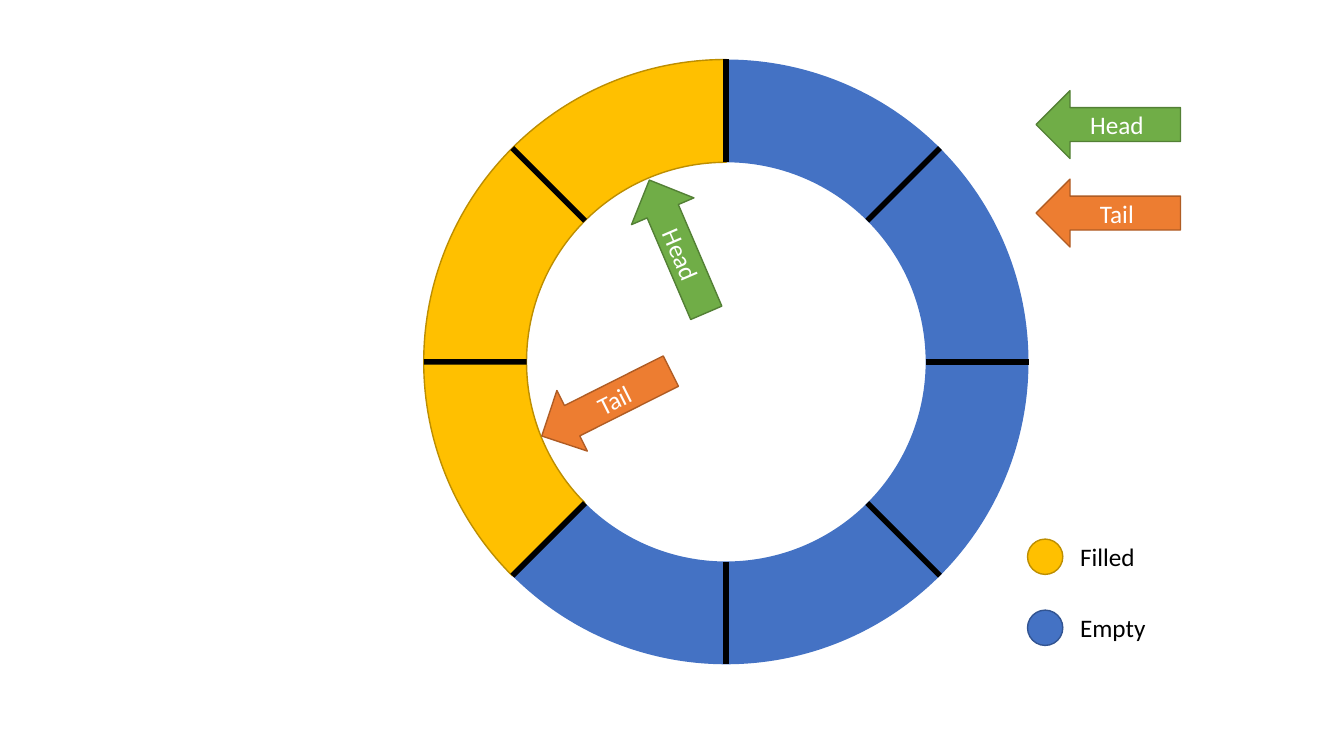
from dataclasses import dataclass
from math import cos, radians, sin

from lxml import etree
from pptx import Presentation
from pptx.dml.color import RGBColor
from pptx.enum.shapes import MSO_CONNECTOR, MSO_SHAPE
from pptx.enum.text import MSO_ANCHOR, PP_ALIGN
from pptx.oxml.ns import qn
from pptx.util import Cm, Pt

DONUT, BLOCK_ARC = MSO_SHAPE.DONUT, MSO_SHAPE.BLOCK_ARC
DOWN_ARROW, OVAL = MSO_SHAPE.DOWN_ARROW, MSO_SHAPE.OVAL
STRAIGHT = MSO_CONNECTOR.STRAIGHT
MIDDLE, CENTER, LEFT = MSO_ANCHOR.MIDDLE, PP_ALIGN.CENTER, PP_ALIGN.LEFT


@dataclass(frozen=True)
class Paint:
    fill: str
    outline: str | None = None


@dataclass(frozen=True)
class Theme:
    font: str = "Calibri"
    size: float = 18
    light: str = "FFFFFF"
    dark: str = "000000"
    ring: Paint = Paint("4472C4")
    empty: Paint = Paint("4472C4", "325491")
    filled: Paint = Paint("FFC000", "BD8E00")
    head: Paint = Paint("70AD47", "538035")
    tail: Paint = Paint("ED7D31", "AF5C24")
    outline_width: float = 1
    divider_width: float = 4


@dataclass(frozen=True)
class Pointer:
    label: str
    paint: Paint
    x: float
    y: float
    rotation: float


@dataclass(frozen=True)
class KeyEntry:
    label: str
    paint: Paint
    y: float


THEME = Theme()

# Ring geometry in centimetres; angles run clockwise from the right
RING_X, RING_Y, RADIUS = 18.3, 9.12, 7.62
THICKNESS = 0.17
SLOTS = 8
FILLED_FROM, FILLED_TO = 135, 270
ANGLE_UNIT = 0.6  # adjustment value per degree

ARROW_WIDTH, ARROW_LENGTH = 1.71, 3.64
DOT_X, DOT_SIZE = 26.34, 0.89
LABEL_LEFT, LABEL_WIDTH, LABEL_HEIGHT = 26.97, 2.2, 1.02

POINTERS = [
    Pointer("Head", THEME.head, 27.93, 3.14, 90),
    Pointer("Tail", THEME.tail, 27.93, 5.37, 90),
    Pointer("Tail", THEME.tail, 15.28, 10.17, 63.3),
    Pointer("Head", THEME.head, 17.08, 6.21, 156.8),
]
KEY = [
    KeyEntry("Filled", THEME.filled, 14.03),
    KeyEntry("Empty", THEME.empty, 15.82),
]


def add_centred_shape(slide, kind, x: float, y: float, width: float,
                      height: float, paint: Paint):
    shape = slide.shapes.add_shape(
        kind, Cm(x - width / 2), Cm(y - height / 2), Cm(width), Cm(height))
    shape.shadow.inherit = False
    shape.fill.solid()
    shape.fill.fore_color.rgb = RGBColor.from_string(paint.fill)
    if paint.outline:
        shape.line.color.rgb = RGBColor.from_string(paint.outline)
        shape.line.width = Pt(THEME.outline_width)
    else:
        shape.line.fill.background()
    return shape


def write_text(shape, text: str, color: str, alignment) -> None:
    frame = shape.text_frame
    for name, value in {"word_wrap": False, "vertical_anchor": MIDDLE}.items():
        setattr(frame, name, value)
    paragraph = frame.paragraphs[0]
    paragraph.alignment = alignment
    run = paragraph.add_run()
    run.text = text
    for name, value in {"name": THEME.font, "size": Pt(THEME.size)}.items():
        setattr(run.font, name, value)
    run.font.color.rgb = RGBColor.from_string(color)


def add_ring(slide) -> None:
    size = 2 * RADIUS
    arc = (FILLED_FROM * ANGLE_UNIT, FILLED_TO * ANGLE_UNIT, THICKNESS)
    for kind, paint, adjustments in ((DONUT, THEME.ring, (THICKNESS,)),
                                     (BLOCK_ARC, THEME.filled, arc)):
        shape = add_centred_shape(slide, kind, RING_X, RING_Y, size, size, paint)
        for index, value in enumerate(adjustments):
            shape.adjustments[index] = value


def add_divider(slide, angle: float) -> None:
    inner = RADIUS * (1 - 2 * THICKNESS)
    ends = [Cm(value) for reach in (inner, RADIUS)
            for value in (RING_X + reach * cos(radians(angle)),
                          RING_Y + reach * sin(radians(angle)))]
    line = slide.shapes.add_connector(STRAIGHT, *ends)
    line.line.color.rgb = RGBColor.from_string(THEME.dark)
    line.line.width = Pt(THEME.divider_width)
    etree.SubElement(line.element.spPr, qn("a:effectLst"))


def add_pointer(slide, pointer: Pointer) -> None:
    arrow = add_centred_shape(slide, DOWN_ARROW, pointer.x, pointer.y,
                              ARROW_WIDTH, ARROW_LENGTH, pointer.paint)
    arrow.rotation = pointer.rotation
    write_text(arrow, pointer.label, THEME.light, CENTER)
    arrow.element.txBody.find(qn("a:bodyPr")).set("vert", "vert270")


def add_key_entry(slide, entry: KeyEntry) -> None:
    add_centred_shape(slide, OVAL, DOT_X, entry.y, DOT_SIZE, DOT_SIZE, entry.paint)
    label = slide.shapes.add_textbox(
        Cm(LABEL_LEFT), Cm(entry.y - LABEL_HEIGHT / 2),
        Cm(LABEL_WIDTH), Cm(LABEL_HEIGHT))
    write_text(label, entry.label, THEME.dark, LEFT)


presentation = Presentation()
presentation.slide_width, presentation.slide_height = Cm(33.87), Cm(19.05)
slide = presentation.slides.add_slide(presentation.slide_layouts[6])

# Ring buffer with its slots
add_ring(slide)
for slot in range(SLOTS):
    add_divider(slide, slot * 360 / SLOTS)

# Head and tail arrows
for pointer in POINTERS:
    add_pointer(slide, pointer)

# Colour key
for entry in KEY:
    add_key_entry(slide, entry)

presentation.save("out.pptx")
